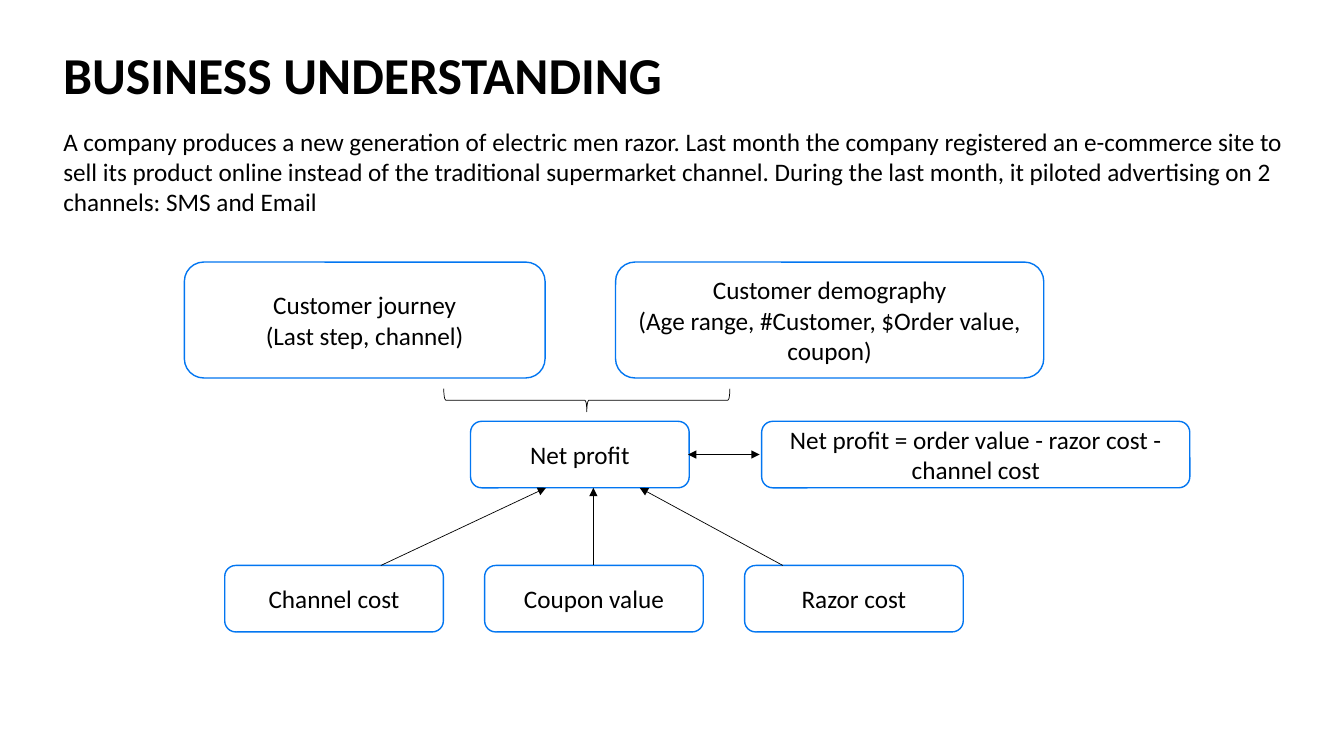
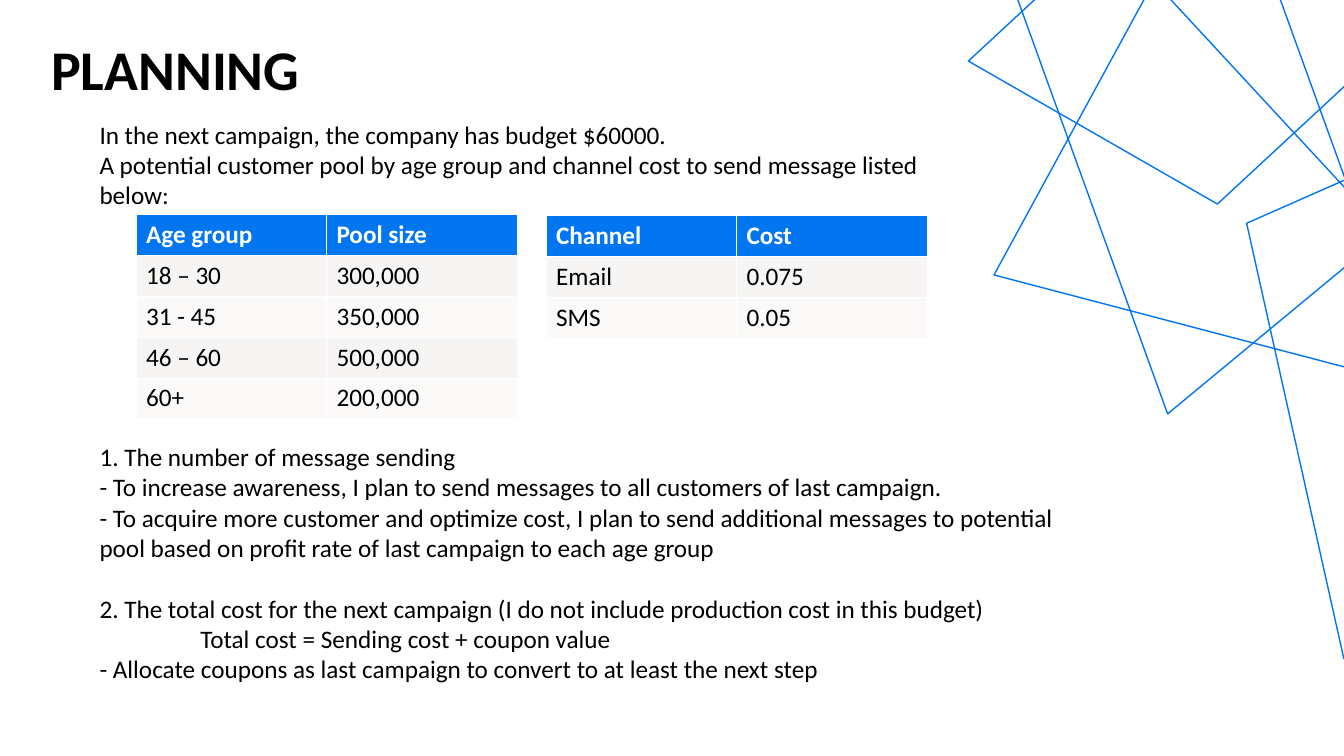
from dataclasses import dataclass

from lxml.etree import SubElement
from pptx import Presentation
from pptx.dml.color import RGBColor
from pptx.enum.shapes import MSO_CONNECTOR as Line, MSO_SHAPE as Preset
from pptx.enum.text import MSO_ANCHOR as Anchor, PP_ALIGN as Align
from pptx.oxml.ns import qn
from pptx.util import Inches, Pt


@dataclass(frozen=True)
class Theme:
    font: str = "Calibri"
    ink: str = "000000"
    paper: str = "FFFFFF"
    accent: str = "0276F1"
    bands: tuple = ("F7F5F3", "FBFAF9")
    body: float = 18
    outline: float = 1
    hairline: float = 0.5
    header_rule: float = 1.5


THEME = Theme()
WIDTH, HEIGHT = Inches(13.34), Inches(7.5)

# Boxes are (left, top, width, height) in percent of the slide's size.
NODE_W, NODE_H = 16.27, 8.8
WIDE_W, TALL_H = 31.86, 15.33
PROFIT_TOP, DRIVER_TOP = 55.73, 74.8
DRIVER_LEFT, DRIVER_STEP = 16.72, 19.34
CELL_W, CELL_H = 14.17, 5.4
BODY_LEFT = 6.67


def across(share):
    return round(WIDTH * share / 100)


def down(share):
    return round(HEIGHT * share / 100)


def place(box):
    left, top, width, height = box
    return across(left), down(top), across(width), down(height)


def apply_format(target, values):
    for name, value in values.items():
        setattr(target, name, value)


def write(paragraph, words, size=THEME.body, color=THEME.ink, bold=False):
    paragraph.text = words
    for run in paragraph.runs:
        apply_format(run.font, {"name": THEME.font, "size": Pt(size), "bold": bold})
        run.font.color.rgb = RGBColor.from_string(color)


def draw_line(line, color, width):
    line.color.rgb = RGBColor.from_string(color)
    line.width = Pt(width)


def add_text(slide, box, lines):
    """Add body text; each line is its words and a dict of paragraph formats."""
    frame = slide.shapes.add_textbox(*place(box)).text_frame
    frame.word_wrap = True
    for index, (words, formats) in enumerate(lines):
        paragraph = frame.add_paragraph() if index else frame.paragraphs[0]
        write(paragraph, words)
        indent = formats.get("indent")
        if indent:
            paragraph._p.get_or_add_pPr().set("marL", str(indent))
        apply_format(paragraph, {k: v for k, v in formats.items() if k != "indent"})


def add_title(slide, box, words, size):
    frame = slide.shapes.add_textbox(*place(box)).text_frame
    apply_format(frame, {"word_wrap": True, "vertical_anchor": Anchor.MIDDLE})
    frame.paragraphs[0].line_spacing = 0.9
    write(frame.paragraphs[0], words, size, bold=True)


def add_outline(slide, preset, box, color=THEME.accent, width=THEME.outline, rotation=0):
    outline = slide.shapes.add_shape(preset, *place(box))
    outline.shadow.inherit = False
    outline.fill.background()
    outline.rotation = rotation
    draw_line(outline.line, color, width)
    return outline


def add_node(slide, box, words):
    frame = add_outline(slide, Preset.ROUNDED_RECTANGLE, box).text_frame
    apply_format(frame, {"word_wrap": True, "vertical_anchor": Anchor.MIDDLE})
    frame.paragraphs[0].alignment = Align.CENTER
    write(frame.paragraphs[0], words)


def add_arrow(slide, start, end, ends=("tailEnd",)):
    arrow = slide.shapes.add_connector(
        Line.STRAIGHT, across(start[0]), down(start[1]), across(end[0]), down(end[1]))
    draw_line(arrow.line, THEME.ink, THEME.hairline)
    for end_name in ends:
        SubElement(arrow.line._get_or_add_ln(), qn(f"a:{end_name}"), type="triangle")
    SubElement(arrow._element.spPr, qn("a:effectLst"))


def add_borders(cell, widths):
    for side, width in widths.items():
        border = SubElement(cell._tc.get_or_add_tcPr(), qn(f"a:ln{side}"), w=str(Pt(width)))
        fill = SubElement(border, qn("a:solidFill"))
        SubElement(fill, qn("a:srgbClr"), val=THEME.paper)


def add_grid(slide, left, top, rows):
    box = (left, top, CELL_W * len(rows[0]), CELL_H * len(rows))
    table = slide.shapes.add_table(len(rows), len(rows[0]), *place(box)).table
    for r, row in enumerate(rows):
        header = r == 0
        fill = THEME.accent if header else THEME.bands[(r - 1) % 2]
        widths = dict.fromkeys("LRTB", THEME.hairline)
        if r < 2:
            widths["B" if header else "T"] = THEME.header_rule
        for c, words in enumerate(row):
            cell = table.cell(r, c)
            add_borders(cell, widths)
            cell.fill.solid()
            cell.fill.fore_color.rgb = RGBColor.from_string(fill)
            write(cell.text_frame.paragraphs[0], words,
                  color=THEME.paper if header else THEME.ink, bold=header)


def add_trapezoids(slide):
    """Draw the tangle of outlines that bleeds off the top right corner."""
    for box, rotation in (
        ((78.86, -31.2, 56.82, 81.73), 194.7),
        ((73.46, 5.33, 32.91, 32.67), 250.1),
        ((92.05, 20.13, 32.23, 57.87), 156.2),
        ((88.08, -11.73, 35.31, 38.4), 227.2),
        ((74.74, -16, 31.86, 36.27), 317.2),
    ):
        add_outline(slide, Preset.FLOWCHART_MANUAL_OPERATION, box, rotation=rotation)


def build_understanding(slide):
    add_title(slide, (3.97, 5.33, 53.6, 9.87), "BUSINESS UNDERSTANDING", 37)
    add_text(slide, (3.97, 16, 93.93, 13.33), [(
        "A company produces a new generation of electric men razor. Last month the company "
        "registered an e-commerce site to sell its product online instead of the traditional "
        "supermarket channel. During the last month, it piloted advertising on 2 channels: "
        "SMS and Email", {})])

    add_node(slide, (13.72, 34.67, 26.84, TALL_H), "Customer journey\n(Last step, channel)")
    add_node(slide, (45.8, 34.67, WIDE_W, TALL_H),
             "Customer demography\n(Age range, #Customer, $Order value, coupon)")
    add_node(slide, (35.01, PROFIT_TOP, NODE_W, NODE_H), "Net profit")
    add_node(slide, (56.67, PROFIT_TOP, WIDE_W, NODE_H),
             "Net profit = order value - razor cost - channel cost")
    for index, driver in enumerate(("Channel cost", "Coupon value", "Razor cost")):
        left = DRIVER_LEFT + index * DRIVER_STEP
        add_node(slide, (left, DRIVER_TOP, NODE_W, NODE_H), driver)

    add_outline(slide, Preset.RIGHT_BRACE, (42.8, 34, 1.72, 37.87),
                THEME.ink, THEME.hairline, rotation=90)
    for start, end in ((28.34, 40.63), (44.15, 44.15), (58.25, 47.6)):
        add_arrow(slide, (start, DRIVER_TOP), (end, PROFIT_TOP + NODE_H))
    middle = PROFIT_TOP + NODE_H / 2
    add_arrow(slide, (51.2, middle), (56.52, middle), ("headEnd", "tailEnd"))


def build_planning(slide):
    add_title(slide, (3.07, 4.13, 41.9, 10.93), "PLANNING", 40)
    add_text(slide, (BODY_LEFT, 15.07, 66.57, 13.33), [
        ("In the next campaign, the company has budget $60000.", {}),
        ("A potential customer pool by age group and channel cost to send message "
         "listed below:", {}),
    ])
    add_grid(slide, 10.12, 28.4, [
        ("Age group", "Pool size"),
        ("18 – 30", "300,000"),
        ("31 - 45", "350,000"),
        ("46 – 60", "500,000"),
        ("60+", "200,000"),
    ])
    add_grid(slide, 40.63, 28.53, [("Channel", "Cost"), ("Email", "0.075"), ("SMS", "0.05")])
    add_text(slide, (BODY_LEFT, 57.73, 72.49, 36), [
        ("1. The number of message sending", {}),
        ("- To increase awareness, I plan to send messages to all customers of last "
         "campaign.", {}),
        ("- To acquire more customer and optimize cost, I plan to send additional messages "
         "to potential pool based on profit rate of last campaign to each age group", {}),
        ("2. The total cost for the next campaign (I do not include production cost in this "
         "budget)", {"space_before": Pt(22)}),
        ("Total cost = Sending cost + coupon value", {"indent": Inches(1)}),
        ("- Allocate coupons as last campaign to convert to at least the next step", {}),
    ])
    add_trapezoids(slide)


def main():
    deck = Presentation()
    apply_format(deck, {"slide_width": WIDTH, "slide_height": HEIGHT})
    blank = deck.slide_layouts[6]
    for build in (build_understanding, build_planning):
        build(deck.slides.add_slide(blank))
    deck.save("out.pptx")


if __name__ == "__main__":
    main()
